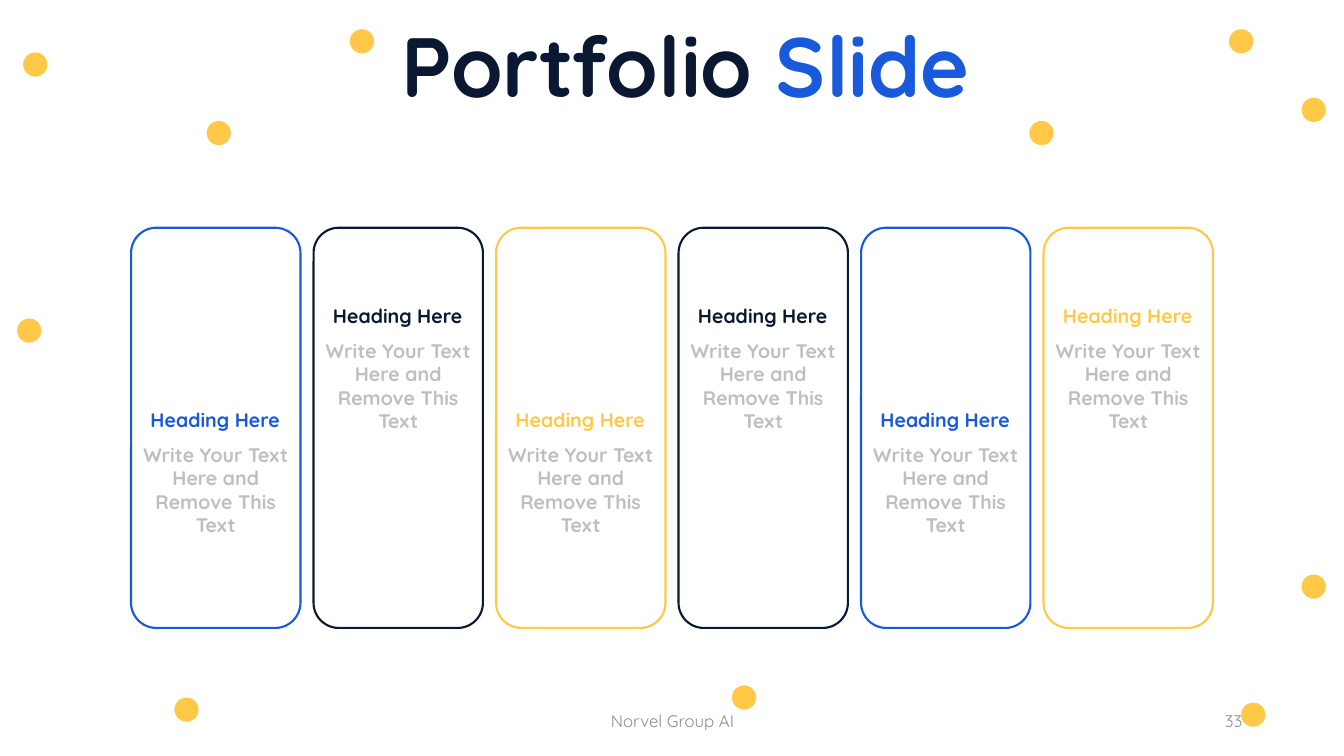
from dataclasses import dataclass

from pptx import Presentation
from pptx.dml.color import RGBColor
from pptx.enum.shapes import MSO_SHAPE
from pptx.enum.text import MSO_ANCHOR, PP_ALIGN
from pptx.util import Inches, Pt

OVAL, ROUNDED = MSO_SHAPE.OVAL, MSO_SHAPE.ROUNDED_RECTANGLE
TOP, MIDDLE = MSO_ANCHOR.TOP, MSO_ANCHOR.MIDDLE
CENTER, RIGHT = PP_ALIGN.CENTER, PP_ALIGN.RIGHT


@dataclass(frozen=True)
class Theme:
    font: str = "Quicksand"
    navy: str = "0A1931"
    blue: str = "185ADB"
    yellow: str = "FFC947"
    body_gray: str = "BFBFBF"
    footer_gray: str = "8C8C8C"
    title_size: int = 60
    card_size: int = 14
    footer_size: int = 12
    outline: float = 1.5


class SlideBuilder:
    """Draws styled elements on the current slide."""

    def __init__(self, slide, theme):
        self.s = slide
        self.theme = theme

    def shape(self, kind, x, y, w, h):
        sp = self.s.shapes.add_shape(kind, Inches(x), Inches(y), Inches(w), Inches(h))
        sp.shadow.inherit = False
        return sp

    def dot(self, cx, cy, size=0.24):
        sp = self.shape(OVAL, cx - size / 2, cy - size / 2, size, size)
        sp.fill.solid()
        sp.fill.fore_color.rgb = RGBColor.from_string(self.theme.yellow)
        sp.line.fill.background()

    def outline(self, x, y, w, h, color, radius=0.25):
        sp = self.shape(ROUNDED, x, y, w, h)
        sp.adjustments[0] = radius / min(w, h)
        sp.fill.background()
        sp.line.color.rgb = RGBColor.from_string(color)
        sp.line.width = Pt(self.theme.outline)

    def text(self, x, y, w, h, runs, size, bold=True, align=CENTER, anchor=TOP, wrap=True):
        tf = self.s.shapes.add_textbox(Inches(x), Inches(y), Inches(w), Inches(h)).text_frame
        tf.word_wrap = wrap
        tf.vertical_anchor = anchor
        p = tf.paragraphs[0]
        p.alignment = align
        for words, color in runs:
            r = p.add_run()
            r.text = words
            r.font.name = self.theme.font
            r.font.size = Pt(size)
            r.font.bold = bold
            r.font.color.rgb = RGBColor.from_string(color)

    def card(self, x, color, text_y):
        t = self.theme
        self.outline(x + 0.01, 2.26, 1.68, 3.97, color)
        self.text(x + 0.08, text_y, 1.53, 0.34, [("Heading Here", color)],
                  t.card_size, wrap=False)
        self.text(x, text_y + 0.34, 1.7, 1.04,
                  [("Write Your Text Here and Remove This Text", t.body_gray)], t.card_size)

    def footer(self, x, w, words, align):
        self.text(x, 6.95, w, 0.4, [(words, self.theme.footer_gray)],
                  self.theme.footer_size, bold=False, align=align, anchor=MIDDLE)


DOT_CENTERS = [
    (13.03, 1.09), (12.31, 0.41), (13.03, 5.82), (2.17, 1.32), (3.59, 0.41), (0.35, 0.64),
    (1.85, 7.04), (0.29, 3.28), (7.38, 6.92), (12.43, 7.09), (10.33, 1.32),
]
CARD_LEFT, CARD_STEP = 1.29, 1.81
LOW_TEXT, HIGH_TEXT = 4.0, 2.97

theme = Theme()
prs = Presentation()
prs.slide_width, prs.slide_height = Inches(13.33), Inches(7.5)
builder = SlideBuilder(prs.slides.add_slide(prs.slide_layouts[6]), theme)

for cx, cy in DOT_CENTERS:
    builder.dot(cx, cy)

card_colors = [theme.blue, theme.navy, theme.yellow, theme.navy, theme.blue, theme.yellow]
for i, color in enumerate(card_colors):
    builder.card(CARD_LEFT + i * CARD_STEP, color, HIGH_TEXT if i % 2 else LOW_TEXT)

builder.text(3.81, 0.08, 5.98, 1.11, [("Portfolio", theme.navy), (" Slide", theme.blue)],
             theme.title_size, wrap=False)
builder.footer(4.42, 4.5, "Norvel Group AI", CENTER)
builder.footer(9.42, 3, "33", RIGHT)

prs.save("out.pptx")
